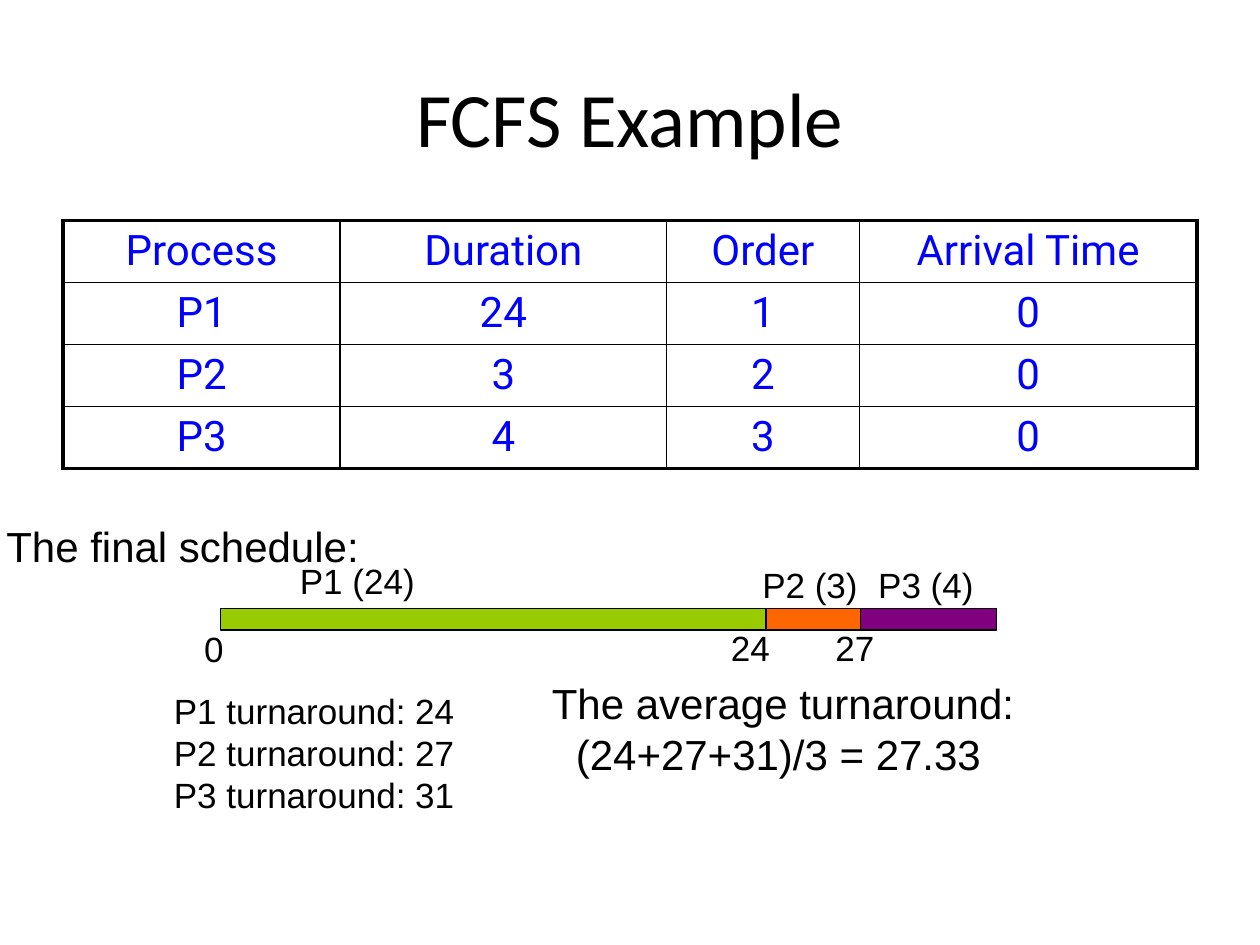
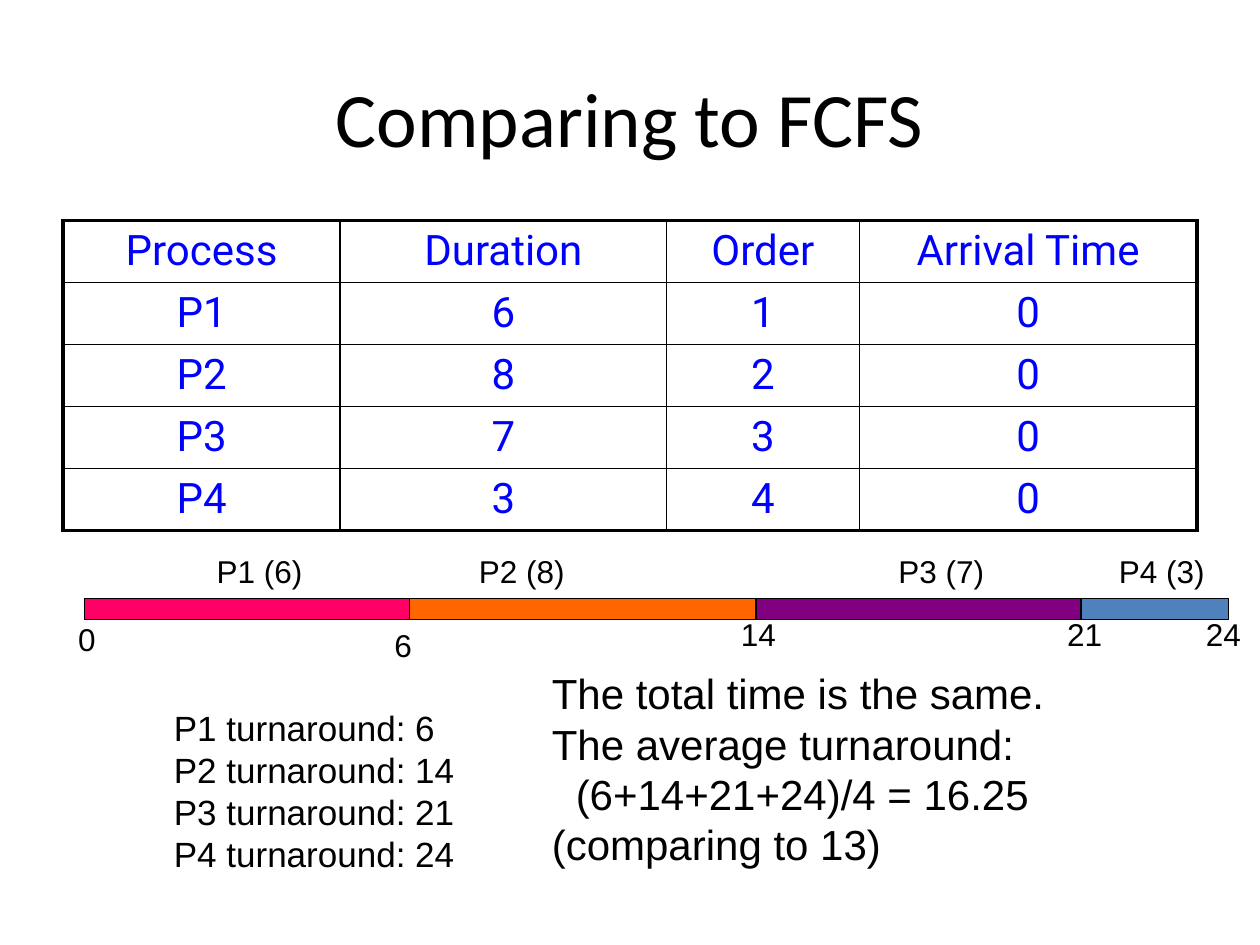
from lxml import etree
from pptx import Presentation
from pptx.dml.color import RGBColor
from pptx.enum.dml import MSO_LINE
from pptx.enum.shapes import MSO_CONNECTOR, MSO_SHAPE
from pptx.enum.text import MSO_ANCHOR, PP_ALIGN
from pptx.oxml.ns import qn
from pptx.util import Inches, Pt

CENTER = PP_ALIGN.CENTER
MIDDLE = MSO_ANCHOR.MIDDLE
STRAIGHT = MSO_CONNECTOR.STRAIGHT
RECTANGLE = MSO_SHAPE.RECTANGLE

BLACK, BLUE = "000000", "0000FF"
GREEN, ORANGE, PURPLE = "99CC00", "FF6600", "800080"
PINK, STEEL = "FF0066", "4F81BD"
INSET = Inches(0.05)
FORMULA_INDENT = Inches(0.19)

HEADINGS = ["Process", "Duration", "Order", "Arrival Time"]
COLUMN_WIDTHS = [2.2, 2.59, 1.53, 2.68]
ROW_HEIGHT = 0.49
BAR_HEIGHT = 0.17
THIN, THICK = 1, 2.25

# Bars: left, width, colour. Labels and notes: left, top, width, height, size, lines.
SLIDES = [
    {
        "title": "FCFS Example",
        "durations": [24, 3, 4],
        "axis": (2.08, 7.58, 4.92, MSO_LINE.ROUND_DOT),
        "bar_top": 4.83,
        "bars": [(1.75, 4.42, GREEN), (6.08, 0.83, ORANGE), (6.83, 1.08, PURPLE)],
        "texts": [
            (0, 4.08, 2.91, 0.48, 24, ["The final schedule:"]),
            (2.33, 4.39, 1.02, 0.41, 20, ["P1 (24)"]),
            (6, 4.42, 0.87, 0.41, 20, ["P2 (3)"]),
            (6.92, 4.42, 0.87, 0.41, 20, ["P3 (4)"]),
            (1.57, 4.93, 0.27, 0.41, 20, ["0"]),
            (5.75, 4.92, 0.42, 0.41, 20, ["24"]),
            (6.58, 4.92, 0.42, 0.41, 20, ["27"]),
            (4.33, 5.33, 3.88, 0.87, 24,
             ["The average turnaround:", "(24+27+31)/3 = 27.33"]),
        ],
        "finish_times": [24, 27, 31],
        "turnaround_top": 5.42,
        "formula": "(24+27+31)/3 = 27.33",
    },
    {
        "title": "Comparing to FCFS",
        "durations": [6, 8, 7, 3],
        "axis": (0.75, 9.75, 4.83, MSO_LINE.DASH),
        "bar_top": 4.75,
        "bars": [(0.67, 2.58, PINK), (3.25, 2.75, ORANGE),
                 (6, 2.58, PURPLE), (8.58, 1.17, STEEL)],
        "texts": [
            (1.67, 4.33, 0.79, 0.38, 18, ["P1 (6)"]),
            (3.75, 4.33, 0.79, 0.38, 18, ["P2 (8)"]),
            (7.08, 4.33, 0.79, 0.38, 18, ["P3 (7)"]),
            (8.83, 4.33, 0.79, 0.38, 18, ["P4 (3)"]),
            (0.57, 4.87, 0.25, 0.38, 18, ["0"]),
            (3.08, 4.92, 0.25, 0.38, 18, ["6"]),
            (5.83, 4.83, 0.39, 0.38, 18, ["14"]),
            (8.42, 4.83, 0.39, 0.38, 18, ["21"]),
            (9.52, 4.83, 0.39, 0.38, 18, ["24"]),
            (4.33, 5.25, 4.13, 1.64, 24,
             ["The total time is the same.", "The average turnaround:",
              "(6+14+21+24)/4 = 16.25", "(comparing to 13)"]),
        ],
        "finish_times": [6, 14, 21, 24],
        "turnaround_top": 5.56,
        "formula": "(6+14+21+24)/4 = 16.25",
    },
]


def rgb(hex_colour):
    return RGBColor.from_string(hex_colour)


def add_run(paragraph, text, size, font, colour=BLACK):
    run = paragraph.add_run()
    run.text = text
    run.font.size = Pt(size)
    run.font.name = font
    run.font.color.rgb = rgb(colour)
    run.font.bold = False


prs = Presentation()
prs.slide_width, prs.slide_height = Inches(10), Inches(7.5)

for content in SLIDES:
    slide = prs.slides.add_slide(prs.slide_layouts.get_by_name("Title Only"))
    shapes = slide.shapes

    title = shapes.title
    title.left, title.top = Inches(0.5), Inches(0.3)
    title.width, title.height = Inches(9), Inches(1.25)
    title.text_frame.vertical_anchor = MIDDLE
    heading = title.text_frame.paragraphs[0]
    heading.alignment = CENTER
    add_run(heading, content["title"], 44, "Calibri")

    # Process table with a thick outer frame and thin inner rules
    rows = [HEADINGS] + [
        [f"P{order}", str(duration), str(order), "0"]
        for order, duration in enumerate(content["durations"], 1)
    ]
    last_row, last_column = len(rows) - 1, len(HEADINGS) - 1
    table = shapes.add_table(len(rows), len(HEADINGS), Inches(0.5), Inches(1.75),
                             Inches(9), Inches(ROW_HEIGHT * len(rows))).table
    table.first_row = table.horz_banding = False
    for column, width in zip(table.columns, COLUMN_WIDTHS):
        column.width = Inches(width)
    for r, values in enumerate(rows):
        table.rows[r].height = Inches(ROW_HEIGHT)
        for c, value in enumerate(values):
            cell = table.cell(r, c)
            cell.margin_left = cell.margin_right = INSET
            cell.margin_top = cell.margin_bottom = INSET
            paragraph = cell.text_frame.paragraphs[0]
            paragraph.alignment = CENTER
            add_run(paragraph, value, 24, "Roboto", BLUE)
            outer_edges = {"a:lnL": c == 0, "a:lnR": c == last_column,
                           "a:lnT": r == 0, "a:lnB": r == last_row}
            for edge, is_outer in outer_edges.items():
                border = etree.SubElement(cell._tc.get_or_add_tcPr(), qn(edge),
                                          w=str(Pt(THICK if is_outer else THIN)))
                fill = etree.SubElement(border, qn("a:solidFill"))
                etree.SubElement(fill, qn("a:srgbClr"), val=BLACK)
            cell.fill.background()

    # Time axis and schedule bars
    start, end, axis_y, dash = content["axis"]
    axis = shapes.add_connector(STRAIGHT, Inches(start), Inches(axis_y),
                                Inches(end), Inches(axis_y))
    axis.line.color.rgb = rgb(BLACK)
    axis.line.width = Pt(0.75)
    axis.line.dash_style = dash
    etree.SubElement(axis._element.spPr, qn("a:effectLst"))

    for left, width, colour in content["bars"]:
        bar = shapes.add_shape(RECTANGLE, Inches(left), Inches(content["bar_top"]),
                               Inches(width), Inches(BAR_HEIGHT))
        bar.shadow.inherit = False
        bar.fill.solid()
        bar.fill.fore_color.rgb = rgb(colour)
        bar.line.color.rgb = rgb(BLACK)
        bar.line.width = Pt(0.75)

    # Labels, turnaround list and average
    turnarounds = [f"P{order} turnaround: {finish}"
                   for order, finish in enumerate(content["finish_times"], 1)]
    turnaround_box = (1.33, content["turnaround_top"], 2.45,
                      0.1 + 0.32 * len(turnarounds), 20, turnarounds)
    for left, top, width, height, size, lines in content["texts"] + [turnaround_box]:
        frame = shapes.add_textbox(Inches(left), Inches(top),
                                   Inches(width), Inches(height)).text_frame
        frame.word_wrap = len(lines) > 1
        frame.margin_left = frame.margin_right = INSET
        frame.margin_top = frame.margin_bottom = INSET
        for i, line in enumerate(lines):
            paragraph = frame.add_paragraph() if i else frame.paragraphs[0]
            if line == content["formula"]:
                paragraph._p.get_or_add_pPr().set("marL", str(FORMULA_INDENT))
            add_run(paragraph, line, size, "Arial")

prs.save("out.pptx")
